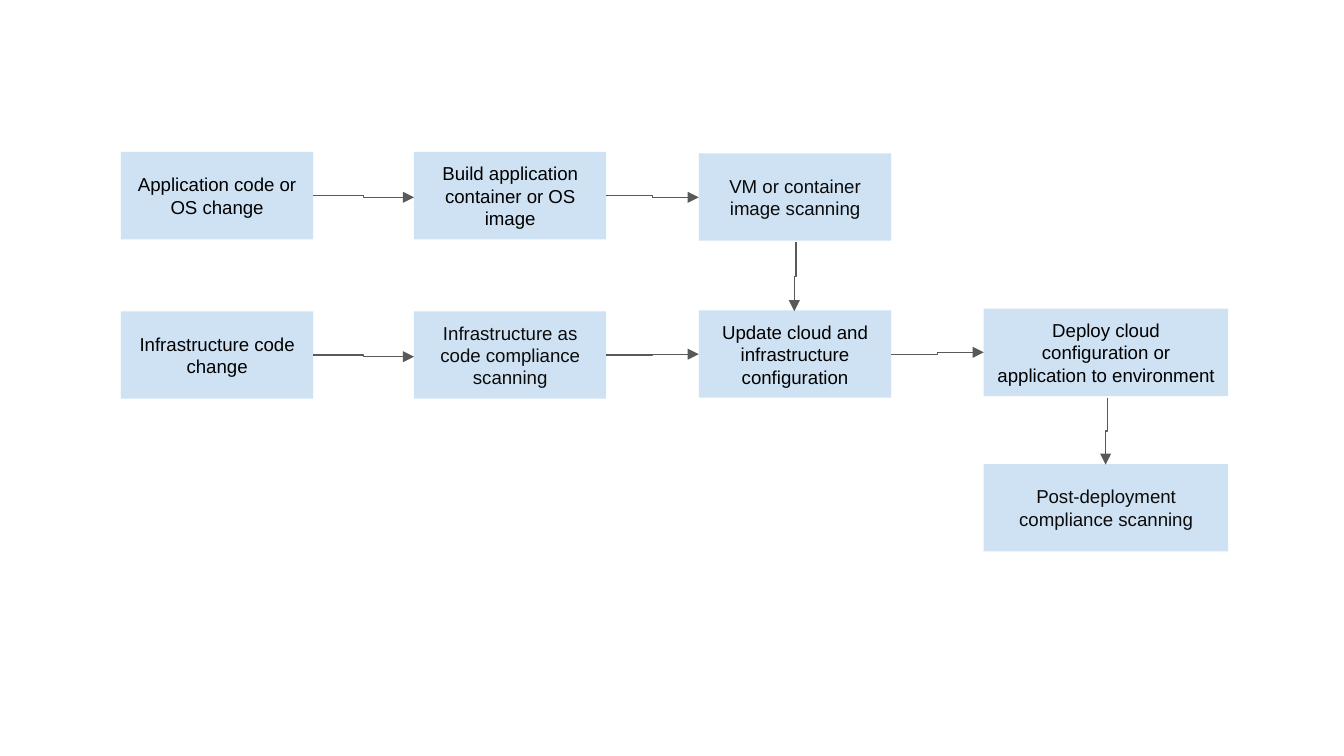
from lxml.etree import SubElement
from pptx import Presentation
from pptx.dml.color import RGBColor
from pptx.enum.shapes import MSO_CONNECTOR, MSO_SHAPE
from pptx.enum.text import MSO_ANCHOR, PP_ALIGN
from pptx.oxml.ns import qn
from pptx.util import Pt

COLORS = {"box": "CFE2F3", "black": "000000", "ink": "0B0B0B", "line": "595959"}
BOX_W, WIDE_W, BOX_H = 103, 131, 46.8
COL_1, COL_2, COL_3, COL_4 = 64.8, 221.8, 374.4, 527

STEPS = [
    ("Application code or OS change", COL_1, 81.4, BOX_W, "black"),
    ("Build application container or OS image", COL_2, 81.4, BOX_W, "black"),
    ("VM or container image scanning", COL_3, 82.2, BOX_W, "ink"),
    ("Infrastructure code change", COL_1, 166.8, BOX_W, "black"),
    ("Infrastructure as code compliance scanning", COL_2, 166.8, BOX_W, "ink"),
    ("Update cloud and infrastructure configuration", COL_3, 166.3, BOX_W, "black"),
    ("Deploy cloud configuration or application to environment", COL_4, 165.4, WIDE_W, "black"),
    ("Post-deployment compliance scanning", COL_4, 248.6, WIDE_W, "ink"),
]
ACROSS = [
    (COL_1 + BOX_W, 104.7, COL_2, 105.7),
    (COL_2 + BOX_W, 104.7, COL_3, 105.7),
    (COL_1 + BOX_W, 190.1, COL_2, 191.1),
    (COL_2 + BOX_W, 190.2, COL_3, 189.8),
    (COL_3 + BOX_W, 189.8, COL_4, 188.8),
]
DOWN = [
    (426.5, 129.5, 425.5, 166.8),
    (593.3, 213, 592.3, 249),
]


def rgb(name):
    return RGBColor.from_string(COLORS[name])


def add_box(s, text, x, y, w, color):
    sp = s.shapes.add_shape(MSO_SHAPE.RECTANGLE, Pt(x), Pt(y), Pt(w), Pt(BOX_H))
    sp.shadow.inherit = False
    sp.fill.solid()
    sp.fill.fore_color.rgb = rgb("box")
    sp.line.fill.background()
    tf = sp.text_frame
    tf.word_wrap = True
    tf.vertical_anchor = MSO_ANCHOR.MIDDLE
    tf.margin_left = tf.margin_right = tf.margin_top = tf.margin_bottom = Pt(7.2)
    p = tf.paragraphs[0]
    p.text = text
    p.alignment = PP_ALIGN.CENTER
    p.font.name = "Arial"
    p.font.size = Pt(10)
    p.font.color.rgb = rgb(color)


def add_arrow(s, x1, y1, x2, y2):
    c = s.shapes.add_connector(MSO_CONNECTOR.ELBOW, Pt(x1), Pt(y1), Pt(x2), Pt(y2))
    c.line.color.rgb = rgb("line")
    c.line.width = Pt(0.75)
    SubElement(c.line._get_or_add_ln(), qn("a:tailEnd"), type="triangle")
    SubElement(c._element.spPr, qn("a:effectLst"))
    return c


def add_down_arrow(s, x1, y1, x2, y2):
    mid_x, mid_y = (x1 + x2) / 2, (y1 + y2) / 2
    half_len, half_jog = (y2 - y1) / 2, (x1 - x2) / 2
    c = add_arrow(s, mid_x - half_len, mid_y - half_jog, mid_x + half_len, mid_y + half_jog)
    c._element.spPr.find(qn("a:xfrm")).set("rot", "5400000")


def main():
    prs = Presentation()
    prs.slide_width, prs.slide_height = Pt(720), Pt(405)
    s = prs.slides.add_slide(prs.slide_layouts[6])
    for step in STEPS:
        add_box(s, *step)
    for ends in ACROSS:
        add_arrow(s, *ends)
    for ends in DOWN:
        add_down_arrow(s, *ends)
    prs.save("out.pptx")


if __name__ == "__main__":
    main()
